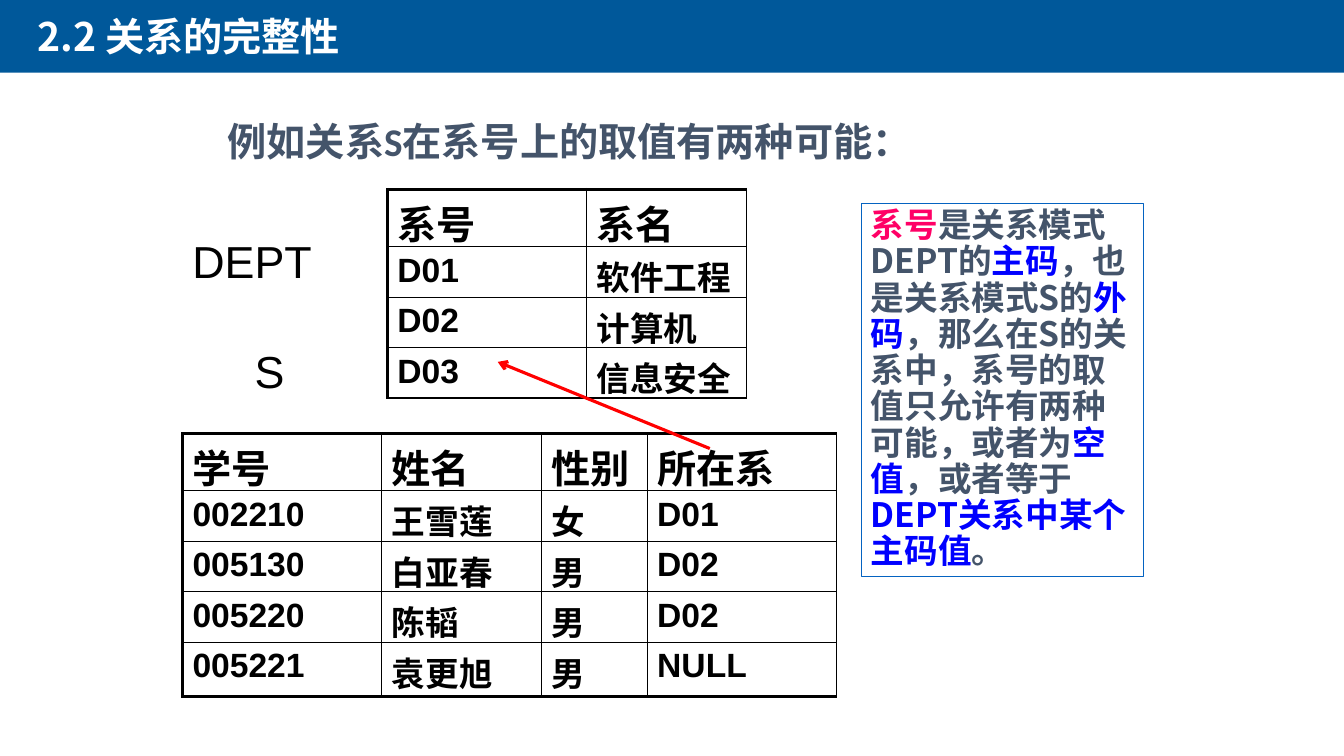
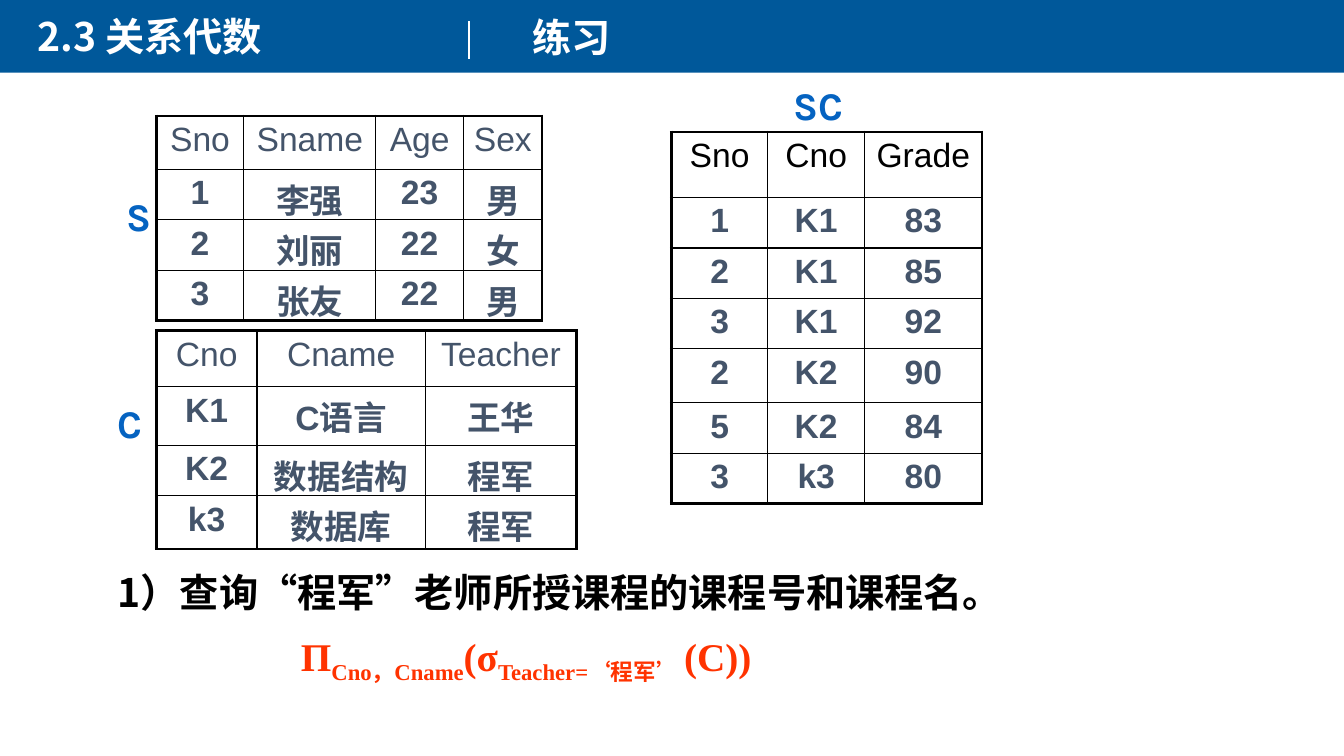
from lxml import etree
from pptx import Presentation
from pptx.dml.color import RGBColor
from pptx.enum import shapes, text
from pptx.oxml.ns import qn
from pptx.util import Pt

BAND, SLATE, ACCENT = "00589A", "44546A", "0563C1"
BLACK, WHITE, RED, BLUE, PINK, ORANGE = "000000", "FFFFFF", "FF0000", "0000FF", "FF0066", "FF3300"
CJK, LATIN, LABEL, BODY, SERIF = "Noto Sans CJK SC", "Arial", "Karla", "Calibri", "Times New Roman"
THICK, THIN = 2.25, 1
LEFT, CENTER = text.PP_ALIGN.LEFT, text.PP_ALIGN.CENTER


def rgb(value):
    return RGBColor.from_string(value)


def points(*values):
    return [Pt(value) for value in values]


def style(font, name, size, color, bold=True):
    font.name, font.size, font.bold = name, Pt(size), bold
    font.color.rgb = rgb(color)


def write(paragraph, parts, name, size, color, bold=True, align=LEFT):
    """Fill a paragraph with (text, overrides) parts; overrides may hold name, color, baseline."""
    paragraph.alignment = align
    for words, overrides in parts:
        run = paragraph.add_run()
        run.text = words
        style(run.font, overrides.get("name", name), size, overrides.get("color", color), bold)
        if "baseline" in overrides:
            run.font._element.set("baseline", str(overrides["baseline"]))


def add_label(slide, box, parts, name, size, color, bold=True, align=LEFT, wrap=True, spacing=None):
    frame = slide.shapes.add_textbox(*points(*box)).text_frame
    frame.word_wrap = wrap
    if isinstance(parts, str):
        parts = [(parts, {})]
    write(frame.paragraphs[0], parts, name, size, color, bold, align)
    if spacing:
        frame.paragraphs[0].line_spacing = spacing
    return frame


def add_line(slide, start, end, color, width, arrow=False):
    line = slide.shapes.add_connector(shapes.MSO_CONNECTOR.STRAIGHT, *points(*start, *end))
    line.line.color.rgb = rgb(color)
    line.line.width = Pt(width)
    if arrow:
        etree.SubElement(line.line._get_or_add_ln(), qn("a:tailEnd"), type="arrow")
    etree.SubElement(line._element.spPr, qn("a:effectLst"))


def add_titled_slide(deck, title):
    slide = deck.slides.add_slide(deck.slide_layouts[5])
    band = slide.shapes.add_shape(shapes.MSO_SHAPE.RECTANGLE, *points(0, -1.4, 960, 53.3))
    band.shadow.inherit = False
    band.fill.solid()
    band.fill.fore_color.rgb = rgb(BAND)
    band.line.fill.background()
    slide.shapes._spTree.insert(2, band._element)

    heading = slide.shapes.title
    heading.left, heading.top, heading.width, heading.height = points(19.4, 5, 398, 41)
    frame = heading.text_frame
    frame.text = title
    frame.auto_size = text.MSO_AUTO_SIZE.NONE
    frame.vertical_anchor = text.MSO_ANCHOR.TOP
    frame.paragraphs[0].alignment = LEFT
    style(frame.paragraphs[0].runs[0].font, CJK, 28, WHITE)
    return slide


def set_borders(cell, widths):
    """Draw the cell's borders; widths maps each of L, R, T, B to points."""
    properties = cell._tc.get_or_add_tcPr()
    for position, (side, width) in enumerate(widths.items()):
        edge = etree.Element(qn(f"a:ln{side}"), w=str(int(Pt(width))))
        fill = etree.SubElement(edge, qn("a:solidFill"))
        etree.SubElement(fill, qn("a:srgbClr"), val=BLACK)
        properties.insert(position, edge)


def add_grid(slide, corner, columns, heights, rows, thick="LRTB", header_size=24,
             header_bold=False, header_color=SLATE, color=SLATE, align=CENTER):
    """Add a table whose outer sides named in thick are heavier than its inner lines."""
    frame = slide.shapes.add_table(len(rows), len(columns),
                                   *points(*corner, sum(columns), sum(heights)))
    table = frame.table
    for column, width in zip(table.columns, columns):
        column.width = Pt(width)
    for row, height in zip(table.rows, heights):
        row.height = Pt(height)
    for r, row in enumerate(rows):
        for c, value in enumerate(row):
            cell = table.cell(r, c)
            cell.fill.background()
            outer = {"L": c == 0, "R": c == len(columns) - 1,
                     "T": r == 0, "B": r == len(rows) - 1}
            set_borders(cell, {side: THICK if edge and side in thick else THIN
                               for side, edge in outer.items()})
            paragraph = cell.text_frame.paragraphs[0]
            paragraph.text = value
            paragraph.alignment = align
            size, ink, bold = (header_size, header_color, header_bold) if r == 0 else (24, color, True)
            style(paragraph.runs[0].font, LATIN, size, ink, bold)


def add_note(slide, box, parts):
    note = slide.shapes.add_shape(shapes.MSO_SHAPE.RECTANGLE, *points(*box))
    note.shadow.inherit = False
    note.fill.background()
    note.line.color.rgb = rgb(ACCENT)
    note.line.width = Pt(0.25)
    frame = note.text_frame
    frame.word_wrap = True
    frame.vertical_anchor = text.MSO_ANCHOR.TOP
    write(frame.paragraphs[0], parts, CJK, 24, SLATE)
    frame.paragraphs[0].line_spacing = 0.9


def build_integrity(deck):
    slide = add_titled_slide(deck, "2.2 关系的完整性")
    add_label(slide, (155.5, 84.2, 612, 42), "例如关系S在系号上的取值有两种可能：",
              BODY, 28, SLATE, spacing=0.9)
    key = {"color": BLUE}
    add_note(slide, (615, 145.4, 201.6, 266.4), [
        ("系号", {"color": PINK}), ("是关系模式DEPT的", {}), ("主码", key),
        ("，也是关系模式S的", {}), ("外码", key),
        ("，那么在S的关系中，系号的取值只允许有两种可能，或者为", {}), ("空值", key),
        ("，或者等于", {}), ("DEPT关系中某个主码值", key), ("。", {})])

    plain = dict(header_size=28, header_bold=True, header_color=BLACK, color=BLACK, align=LEFT)
    add_grid(slide, (130.3, 309.6), (142.4, 114, 75.6, 135), (41, 36, 36, 36, 38.6), [
        ("学号", "姓名", "性别", "所在系"),
        ("002210", "王雪莲", "女", "D01"),
        ("005130", "白亚春", "男", "D02"),
        ("005220", "陈韬", "男", "D02"),
        ("005221", "袁更旭", "男", "NULL")], thick="LTB", **plain)
    add_grid(slide, (276.7, 135.2), (142.4, 114), (41, 36, 36, 36), [
        ("系号", "系名"), ("D01", "软件工程"), ("D02", "计算机"), ("D03", "信息安全")],
        thick="LT", **plain)
    add_line(slide, (507, 320.4), (355.5, 258.5), RED, 2.25, arrow=True)

    names = add_label(slide, (130.3, 163.4, 135.4, 124), "DEPT", LATIN, 32, BLACK, bold=False)
    student = names.add_paragraph()
    student._p.get_or_add_pPr().set("marL", str(int(Pt(44.5))))
    write(student, [("S", {})], LATIN, 32, BLACK, bold=False)
    student.space_before = Pt(40)


def build_exercise(deck):
    slide = add_titled_slide(deck, "2.3 关系代数")
    add_label(slide, (373, 5.8, 580, 41), "练习", CJK, 28, WHITE)
    add_line(slide, (334.8, 15.1), (334.8, 42.5), WHITE, 1.5)

    add_grid(slide, (111.6, 82.8), (62.6, 94.3, 62.6, 56.2), (38.2, 36, 36, 36), [
        ("Sno", "Sname", "Age", "Sex"),
        ("1", "李强", "23", "男"),
        ("2", "刘丽", "22", "女"),
        ("3", "张友", "22", "男")])
    add_grid(slide, (111.6, 236.2), (72, 120.2, 108), (40, 42, 36, 38), [
        ("Cno", "Cname", "Teacher"),
        ("K1", "C语言", "王华"),
        ("K2", "数据结构", "程军"),
        ("k3", "数据库", "程军")])
    add_grid(slide, (479.5, 94.3), (69, 69, 84), (46.8, 36, 36, 36, 38.6, 36, 36), [
        ("Sno", "Cno", "Grade"),
        ("1", "K1", "83"),
        ("2", "K1", "85"),
        ("3", "K1", "92"),
        ("2", "K2", "90"),
        ("5", "K2", "84"),
        ("3", "k3", "80")], header_color=BLACK)

    for relation, box in (("S", (82.8, 134, 32.4, 41)), ("SC", (559.4, 54.7, 51, 41)),
                          ("C", (77, 281.5, 26.6, 41))):
        add_label(slide, box, relation, LABEL, 28, ACCENT, align=CENTER, wrap=relation != "SC")

    quote = {"name": BODY}
    add_label(slide, (77, 406, 660, 42), [
        ("1）查询", {}), ("“", quote), ("程军", {}), ("”", quote),
        ("老师所授课程的课程号和课程名。", {})], CJK, 28, BLACK, spacing=0.9)
    subscript = {"baseline": -25000}
    add_label(slide, (194.4, 447.8, 363, 41), [
        ("П", {}), ("Cno，Cname", subscript), ("(σ", {}),
        ("Teacher=‘程军’ ", subscript), ("(C))", {})],
        SERIF, 28, ORANGE, align=CENTER, wrap=False)


def main():
    deck = Presentation()
    deck.slide_width, deck.slide_height = points(960, 540)
    build_integrity(deck)
    build_exercise(deck)
    deck.save("out.pptx")


if __name__ == "__main__":
    main()
